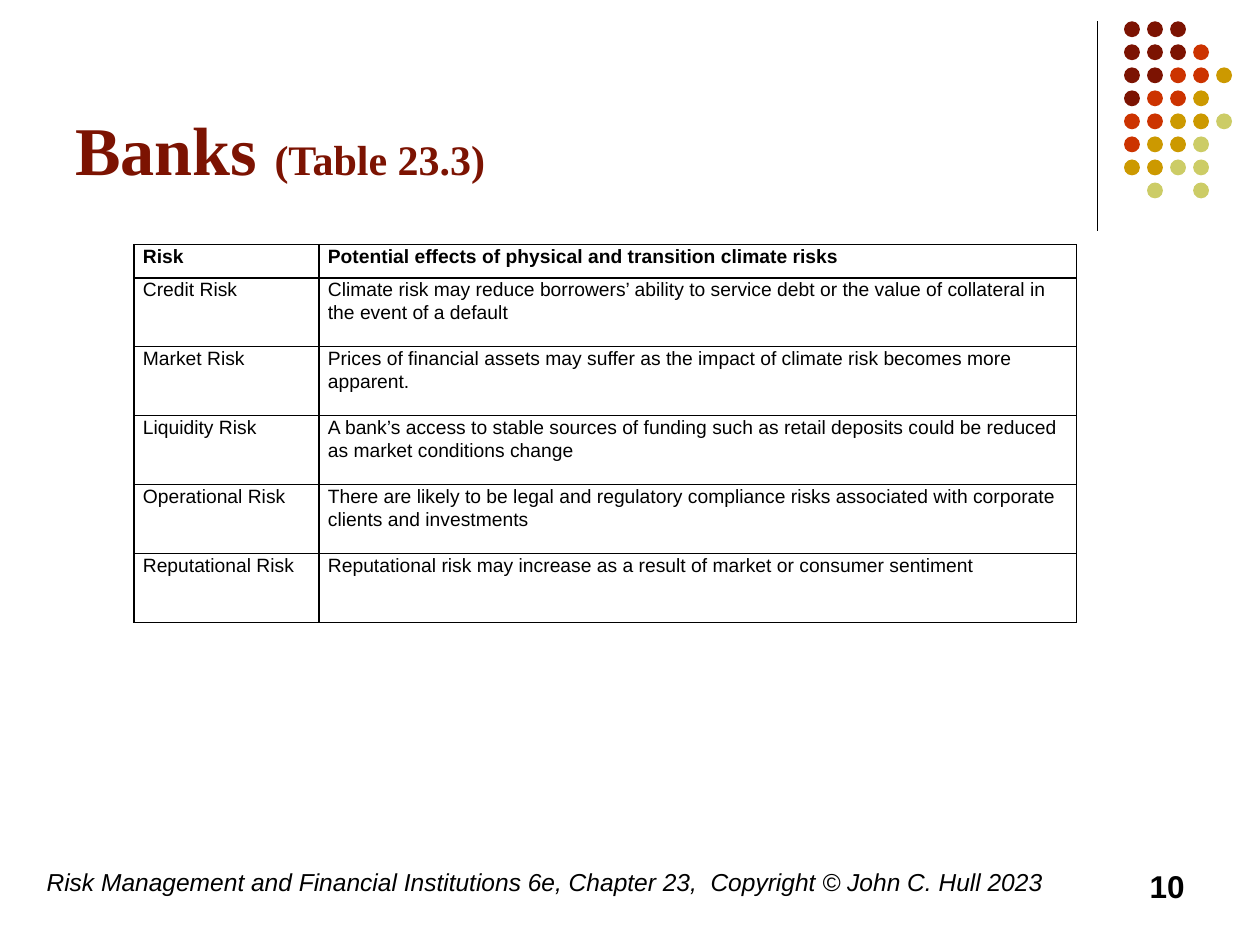
from dataclasses import dataclass
from lxml.etree import SubElement as Sub
from pptx import Presentation as Deck
from pptx.dml.color import RGBColor as Rgb
from pptx.enum.shapes import MSO_CONNECTOR as Link, MSO_SHAPE as Form
from pptx.enum.text import MSO_ANCHOR as Anchor, PP_ALIGN as Align
from pptx.oxml.ns import qn
from pptx.util import Cm, Pt


@dataclass(frozen=True)
class Theme:
    """Colours, fonts and type sizes of the slide."""
    ink: str = "000000"
    wine: str = "7C1302"
    red: str = "CC3300"
    gold: str = "CC9900"
    lime: str = "CCCC66"
    sans: str = "Arial"
    serif: str = "Times New Roman"
    title: int = 39
    sub: int = 24
    page: int = 18
    foot: int = 14
    cell: int = 11


LOOK = Theme()
TINTS = {"w": LOOK.wine, "r": LOOK.red, "g": LOOK.gold, "l": LOOK.lime}
DOTS = ["www", "wwwr", "wwrrg", "wrrg", "rrggl", "rggl", "ggll", " l l"]
RISKS = [
    ("Risk", "Potential effects of physical and transition climate risks"),
    ("Credit Risk", "Climate risk may reduce borrowers’ ability to service debt "
     "or the value of collateral in the event of a default"),
    ("Market Risk", "Prices of financial assets may suffer as the impact of "
     "climate risk becomes more apparent."),
    ("Liquidity Risk", "A bank’s access to stable sources of funding such as "
     "retail deposits could be reduced as market conditions change"),
    ("Operational Risk", "There are likely to be legal and regulatory compliance "
     "risks associated with corporate clients and investments"),
    ("Reputational Risk", "Reputational risk may increase as a result of market "
     "or consumer sentiment"),
]


def set_font(font, size, tint=LOOK.ink, name=LOOK.sans, bold=False, slant=False):
    """Style one font."""
    font.size, font.name = Pt(size), name
    font.bold, font.italic = bold, slant
    font.color.rgb = Rgb.from_string(tint)


def add_text(slide, box, runs, anchor=Anchor.TOP, align=Align.LEFT, **style):
    """Add a wrapped text box and return its paragraph."""
    frame = slide.shapes.add_textbox(*map(Cm, box)).text_frame
    frame.word_wrap, frame.vertical_anchor = True, anchor
    para = frame.paragraphs[0]
    para.alignment = align
    for text in runs:
        para.add_run().text = text
    set_font(para.font, **style)
    return para


def add_rule(slide, x, top, end):
    """Draw the thin upright rule."""
    rule = slide.shapes.add_connector(Link.STRAIGHT, Cm(x), Cm(top), Cm(x), Cm(end))
    rule.line.width = Pt(0.75)
    rule.line.color.rgb = Rgb.from_string(LOOK.ink)
    Sub(rule._element.spPr, qn("a:effectLst"))


def add_dots(slide, left, top, step, size):
    """Draw the grid of dots as one group."""
    group = slide.shapes.add_group_shape()
    for row, line in enumerate(DOTS):
        for col, key in enumerate(line):
            if key in TINTS:
                dot = group.shapes.add_shape(
                    Form.OVAL, Cm(left + col * step), Cm(top + row * step),
                    Cm(size), Cm(size))
                dot.shadow.inherit = False
                dot.fill.solid()
                dot.fill.fore_color.rgb = Rgb.from_string(TINTS[key])
                dot.line.fill.background()


def add_edge(cell):
    """Draw the four borders of a cell."""
    props = cell._tc.get_or_add_tcPr()
    for side in "LRTB":
        edge = Sub(props, qn(f"a:ln{side}"), w=str(Pt(1)))
        Sub(Sub(edge, qn("a:solidFill")), qn("a:srgbClr"), val=LOOK.ink)


def fill_cell(cell, text, bold):
    """Write and style one cell."""
    cell.margin_left = cell.margin_right = Cm(0.18)
    cell.margin_top = cell.margin_bottom = 0
    add_edge(cell)
    cell.fill.background()
    para = cell.text_frame.paragraphs[0]
    para.text = text
    para.line_spacing, para.space_after = 1.07, Pt(8)
    set_font(para.font, LOOK.cell, bold=bold)


def add_grid(slide, left, top, cols, head, body):
    """Add the table of risks."""
    rows = [head] + [body] * (len(RISKS) - 1)
    table = slide.shapes.add_table(
        len(rows), len(cols), Cm(left), Cm(top), Cm(sum(cols)), Cm(sum(rows))).table
    table.horz_banding = False
    for col, width in zip(table.columns, cols):
        col.width = Cm(width)
    for r, (high, texts) in enumerate(zip(rows, RISKS)):
        table.rows[r].height = Cm(high)
        for c, text in enumerate(texts):
            fill_cell(table.cell(r, c), text, bold=r == 0)


def main():
    """Build and save the slide."""
    deck = Deck()
    deck.slide_width, deck.slide_height = Cm(25.4), Cm(19.05)
    slide = deck.slides.add_slide(deck.slide_layouts[6])
    add_rule(slide, 22.12, 0.43, 4.65)
    add_dots(slide, left=22.66, top=0.43, step=3.25 / 7, size=0.32)
    title = add_text(slide, (1.27, 0.33, 20.96, 3.61), ["Banks ", "(Table 23.3)"],
                     Anchor.BOTTOM, size=LOOK.title, tint=LOOK.wine,
                     name=LOOK.serif, bold=True)
    title.runs[1].font.size = Pt(LOOK.sub)
    add_text(slide, (0.69, 17.35, 21, 1.27),
             ["Risk Management and Financial Institutions 6e, Chapter 23,  "
              "Copyright © John C. Hull 2023"], size=LOOK.foot, slant=True)
    add_text(slide, (18.21, 17.35, 5.92, 1.27), ["10"], align=Align.RIGHT,
             size=LOOK.page, bold=True)
    add_grid(slide, 2.7, 4.93, cols=(3.73, 15.27), head=0.67, body=1.39)
    deck.save("out.pptx")


if __name__ == "__main__":
    main()
